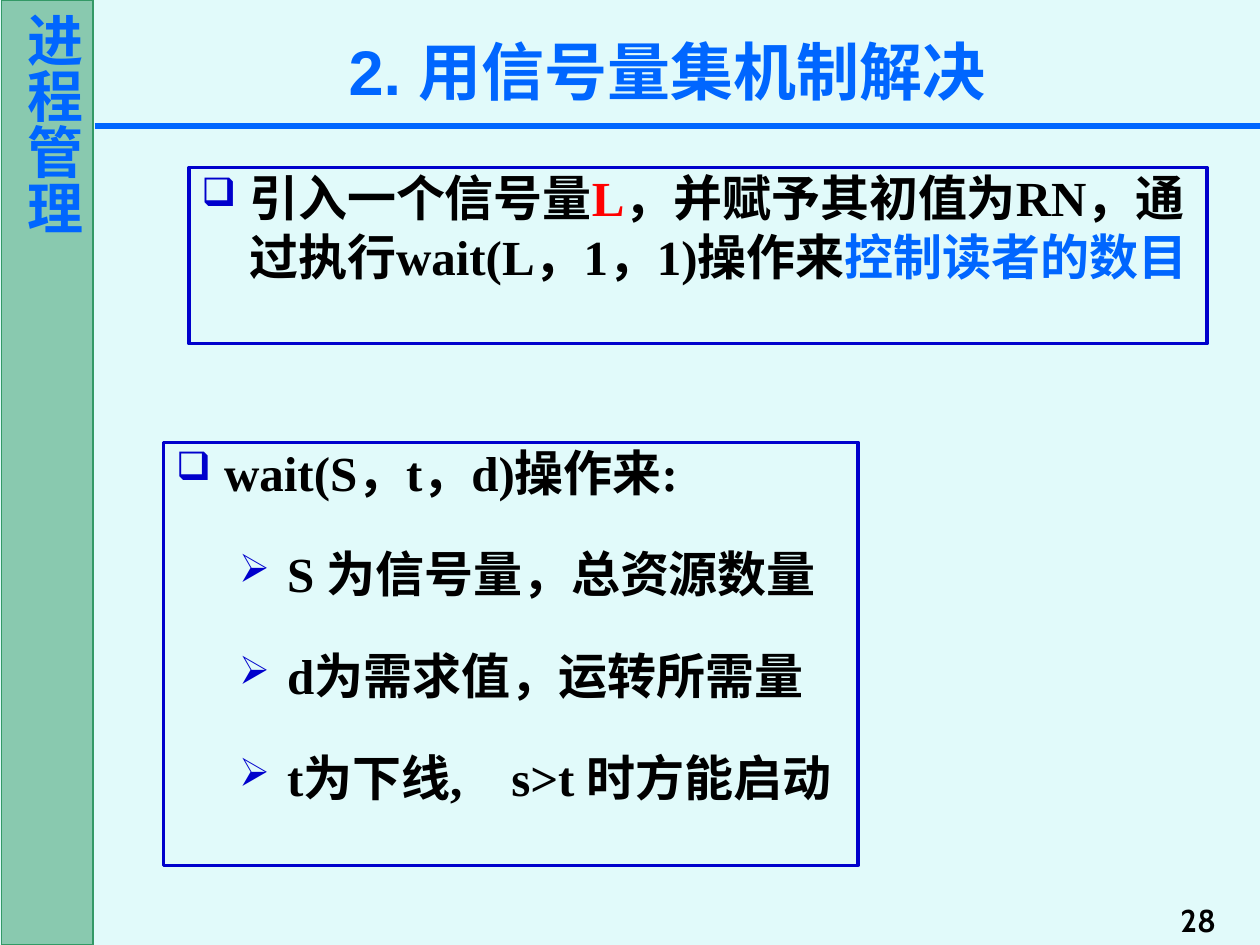
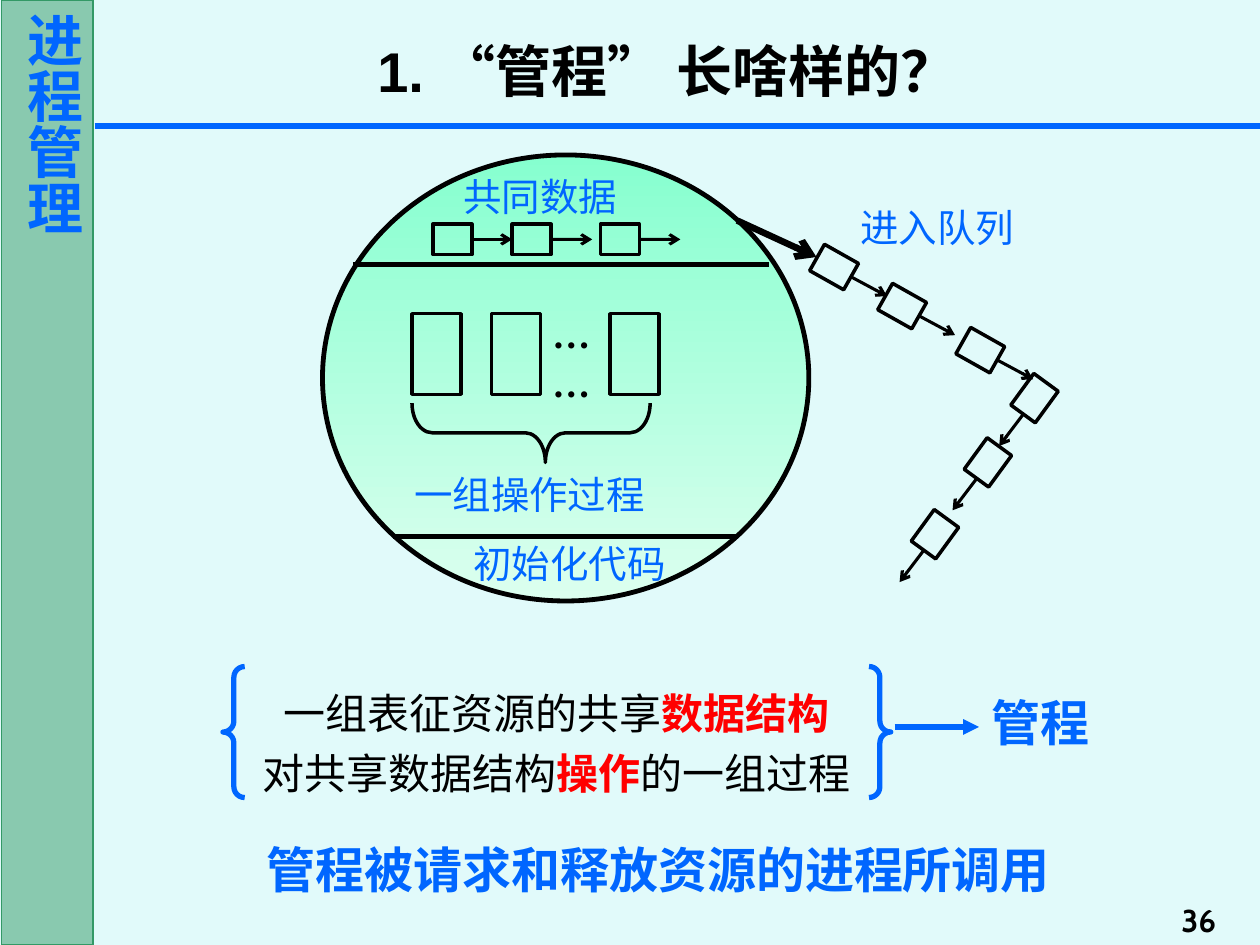
from lxml import etree
from pptx import Presentation
from pptx.dml.color import RGBColor
from pptx.enum.shapes import MSO_CONNECTOR, MSO_SHAPE
from pptx.enum.text import MSO_ANCHOR, PP_ALIGN
from pptx.oxml.ns import qn
from pptx.util import Inches, Pt

STRAIGHT = MSO_CONNECTOR.STRAIGHT
RECTANGLE, OVAL = MSO_SHAPE.RECTANGLE, MSO_SHAPE.OVAL
RIGHT_BRACE, BRACE_PAIR = MSO_SHAPE.RIGHT_BRACE, MSO_SHAPE.DOUBLE_BRACE
TOP, MIDDLE, BOTTOM = MSO_ANCHOR.TOP, MSO_ANCHOR.MIDDLE, MSO_ANCHOR.BOTTOM
LEFT, CENTER, RIGHT = PP_ALIGN.LEFT, PP_ALIGN.CENTER, PP_ALIGN.RIGHT

PALE = RGBColor(0xE1, 0xFA, 0xFA)
GREEN = RGBColor(0x33, 0x99, 0x66)
BLUE = RGBColor(0x00, 0x66, 0xFF)
NAVY = RGBColor(0x00, 0x00, 0xCC)
RED = RGBColor(0xFF, 0x00, 0x00)
BLACK = RGBColor(0x00, 0x00, 0x00)
MINT = RGBColor(0x86, 0xFF, 0xCF)
LIGHT_MINT = RGBColor(0xDC, 0xFF, 0xEF)

SANS, SERIF, CABIN, CJK = "Arial", "Times New Roman", "Cabin", "Noto Sans CJK SC"

# ---- Content: a paragraph is a list of (text, colour, bold) spans ----
CHAPTER = "进程管理"

SEMAPHORE_SET = {"title": "2. 用信号量集机制解决", "size": 36, "color": BLUE,
                 "page": "28"}
MONITOR = {"title": "1. “管程” 长啥样的？", "size": 32, "color": BLACK,
           "page": "36"}

# (place, [(level, spans)])
BULLET_BOXES = [
    ((1.5, 1.33, 8.08, 1.4), [
        (0, [("引入一个信号量", BLACK, True), ("L", RED, True),
             ("，并赋予其初值为RN，通过执行wait(L，1，1)操作来", BLACK, True),
             ("控制读者的数目", BLUE, True)]),
    ]),
    ((1.3, 3.51, 5.51, 3.36), [
        (0, [("wait(S，t，d)操作来:", BLACK, True)]),
        (1, [("S 为信号量，总资源数量", BLACK, True)]),
        (1, [("d为需求值，运转所需量", BLACK, True)]),
        (1, [("t为下线,　s>t 时方能启动", BLACK, True)]),
    ]),
]
BULLETS = ["❑", "➢"]

DEFINITION = [[("一组表征资源的共享", BLACK, False), ("数据结构\v", RED, True),
               ("对共享数据结构", BLACK, False), ("操作", RED, True),
               ("的一组过程", BLACK, False)]]

# (text, left, top, width)
DIAGRAM_LABELS = [
    ("共同数据", 3.58, 1.31, 1.5),
    ("一组操作过程", 3.19, 3.67, 2.13),
    ("初始化代码", 3.66, 4.22, 1.81),
    ("进入队列", 6.73, 1.55, 2.13),
]

# Linked boxes: centres, turn, arrow start from the centre, arrow step
NODE_WIDTH, NODE_HEIGHT = 0.31, 0.24
CHAINS = [
    ([(3.59, 1.9), (4.22, 1.9), (4.92, 1.9)], 0, (0.16, 0), (0.32, 0)),
    ([(6.62, 2.12), (7.16, 2.43), (7.78, 2.78)], 29.4, (0.14, 0.08), (0.28, 0.15)),
    ([(8.21, 3.16), (7.84, 3.67), (7.42, 4.24)], 126.1, (-0.09, 0.13), (-0.19, 0.25)),
]
PROCEDURE_LEFTS = [3.27, 3.9, 4.84]
DIVIDERS = [(2.8, 6.1, 2.1), (3.12, 5.85, 4.26)]


# ---- Drawing helpers ----
def inches(*values):
    return [Inches(value) for value in values]


def write(shape, paragraphs, size, font, align=LEFT, anchor=TOP,
          insets=(0.1, 0.05), spacing=None):
    frame = shape.text_frame
    frame.word_wrap = True
    frame.vertical_anchor = anchor
    frame.margin_left = frame.margin_right = Inches(insets[0])
    frame.margin_top = frame.margin_bottom = Inches(insets[1])
    for index, spans in enumerate(paragraphs):
        para = frame.add_paragraph() if index else frame.paragraphs[0]
        para.alignment = align
        if spacing:
            para.line_spacing = spacing
        for text, color, bold in spans:
            span = para.add_run()
            span.text = text.rstrip("\v")
            span.font.name = font
            span.font.size = Pt(size)
            span.font.bold = bold
            span.font.color.rgb = color
            props = span.font._element
            props.set("lang", "zh-CN")
            latin = props.find(qn("a:latin"))
            east = etree.Element(qn("a:ea"), typeface=CJK)
            latin.addnext(east)
            if text.endswith("\v"):
                para.add_line_break()
    return frame


def add_text(page, place, text, size, font, color, bold=True, **layout):
    box = page.shapes.add_textbox(*inches(*place))
    write(box, [[(text, color, bold)]], size, font, **layout)
    return box


def add_outline(page, kind, place, color=BLACK, width=2, rotation=0):
    shape = page.shapes.add_shape(kind, *inches(*place))
    shape.shadow.inherit = False
    shape.fill.background()
    shape.line.color.rgb = color
    shape.line.width = Pt(width)
    shape.rotation = rotation
    return shape


def add_line(page, start, end, color=BLACK, width=3, head=None):
    line = page.shapes.add_connector(STRAIGHT, *inches(*start, *end))
    line.line.color.rgb = color
    line.line.width = Pt(width)
    if head:
        etree.SubElement(line.line._get_or_add_ln(), qn("a:tailEnd"), type=head)
    etree.SubElement(line._element.spPr, qn("a:effectLst"))
    return line


def set_bullet(para, level):
    props = para._p.get_or_add_pPr()
    props.set("marL", str(Inches(0.38 + 0.5 * level)))
    props.set("indent", str(-Inches(0.38)))
    color = etree.SubElement(props, qn("a:buClr"))
    etree.SubElement(color, qn("a:srgbClr"), val=str(NAVY))
    etree.SubElement(props, qn("a:buSzPct"), val="80000")
    etree.SubElement(props, qn("a:buChar"), char=BULLETS[level])
    para.level = level


# ---- Parts both slides share ----
def add_page(deck, content):
    page = deck.slides.add_slide(deck.slide_layouts[6])
    page.background.fill.solid()
    page.background.fill.fore_color.rgb = PALE

    band = add_outline(page, RECTANGLE, (0.01, 0, 0.73, 7.5), GREEN, 0.75)
    band.fill.solid()
    band.fill.fore_color.rgb = GREEN
    fill_color = band._element.spPr.find(qn("a:solidFill"))[0]
    etree.SubElement(fill_color, qn("a:alpha"), val="50000")
    frame = write(band, [[(CHAPTER, BLUE, True)]], 32, CABIN, CENTER,
                  insets=(0.05, 0.1))
    frame._txBody.bodyPr.set("vert", "eaVert")

    add_text(page, (8.75, 7, 1, 0.5), content["page"], 18, CABIN, BLACK,
             align=RIGHT, anchor=BOTTOM)
    add_text(page, (1.67, 0.21, 7.25, 0.7), content["title"], content["size"],
             SANS, content["color"], align=CENTER, anchor=MIDDLE)
    add_line(page, (0.75, 1), (10, 1), BLUE)
    return page


# ---- Slides ----
def build_semaphore_set(deck):
    page = add_page(deck, SEMAPHORE_SET)
    for place, items in BULLET_BOXES:
        box = add_outline(page, RECTANGLE, place, NAVY, 1.75)
        frame = write(box, [spans for _, spans in items], 28, SERIF,
                      insets=(0.1, 0))
        for index, (level, _) in enumerate(items):
            para = frame.paragraphs[index]
            if index:
                para.space_before = Pt(24.5)
            set_bullet(para, level)


def add_chain(page, centres, turn, offset, step):
    previous_arrow, previous_end = None, 0
    for x, y in centres:
        left = x - NODE_WIDTH / 2
        node = add_outline(page, RECTANGLE,
                           (left, y - NODE_HEIGHT / 2, NODE_WIDTH, NODE_HEIGHT),
                           rotation=turn)
        start = (x + offset[0], y + offset[1])
        end = (start[0] + step[0], start[1] + step[1])
        arrow = add_line(page, start, end, width=1.75, head="arrow")
        if not turn:
            arrow.begin_connect(node, 3)
            if previous_arrow is not None and abs(previous_end - left) < 0.02:
                previous_arrow.end_connect(node, 1)
        previous_arrow, previous_end = arrow, end[0]


def build_monitor(deck):
    page = add_page(deck, MONITOR)

    # Definition in braces, leading to the term
    braces = add_outline(page, BRACE_PAIR, (1.77, 5.29, 5.3, 1.04), BLUE, 3)
    braces.adjustments[0] = 0.083
    write(braces, DEFINITION, 24, SERIF, CENTER, MIDDLE, (0.06, 0.01), 1.2)
    add_line(page, (7.1, 5.77), (7.77, 5.77), BLUE, head="triangle")
    add_text(page, (7.77, 5.45, 1.17, 0.57), "管程", 28, CJK, BLUE)
    add_text(page, (1.85, 6.59, 6.75, 0.59), "管程被请求和释放资源的进程所调用",
             28, SERIF, BLUE, align=CENTER, spacing=1.05)

    # Monitor body
    body = add_outline(page, OVAL, (2.56, 1.23, 3.86, 3.54), width=2.75)
    body.fill.gradient()
    body.fill.gradient_angle = 270
    for stop, (color, position) in zip(body.fill.gradient_stops,
                                       [(MINT, 0), (LIGHT_MINT, 1)]):
        stop.color.rgb = color
        stop.position = position
    for left, right, y in DIVIDERS:
        add_line(page, (left, y), (right, y))

    # Procedures and their brace
    for left in PROCEDURE_LEFTS:
        add_outline(page, RECTANGLE, (left, 2.49, 0.39, 0.64))
    add_text(page, (4.29, 2.49, 0.79, 0.36), "……", 22, CJK, BLACK, spacing=1.05)
    brace = add_outline(page, RIGHT_BRACE, (3.98, 2.49, 0.47, 1.89), rotation=90)
    brace.adjustments[0] = 0.34
    brace.adjustments[1] = 0.44

    # Shared data and the entry queue
    for chain in CHAINS:
        add_chain(page, *chain)
    add_line(page, (5.85, 1.75), (6.48, 2.04), width=3.75, head="arrow")
    for text, left, top, width in DIAGRAM_LABELS:
        add_text(page, (left, top, width, 0.47), text, 22, CJK, BLUE,
                 bold=False, spacing=1.05)


def main():
    deck = Presentation()
    deck.slide_width, deck.slide_height = inches(10, 7.5)
    build_semaphore_set(deck)
    build_monitor(deck)
    deck.save("out.pptx")


if __name__ == "__main__":
    main()
